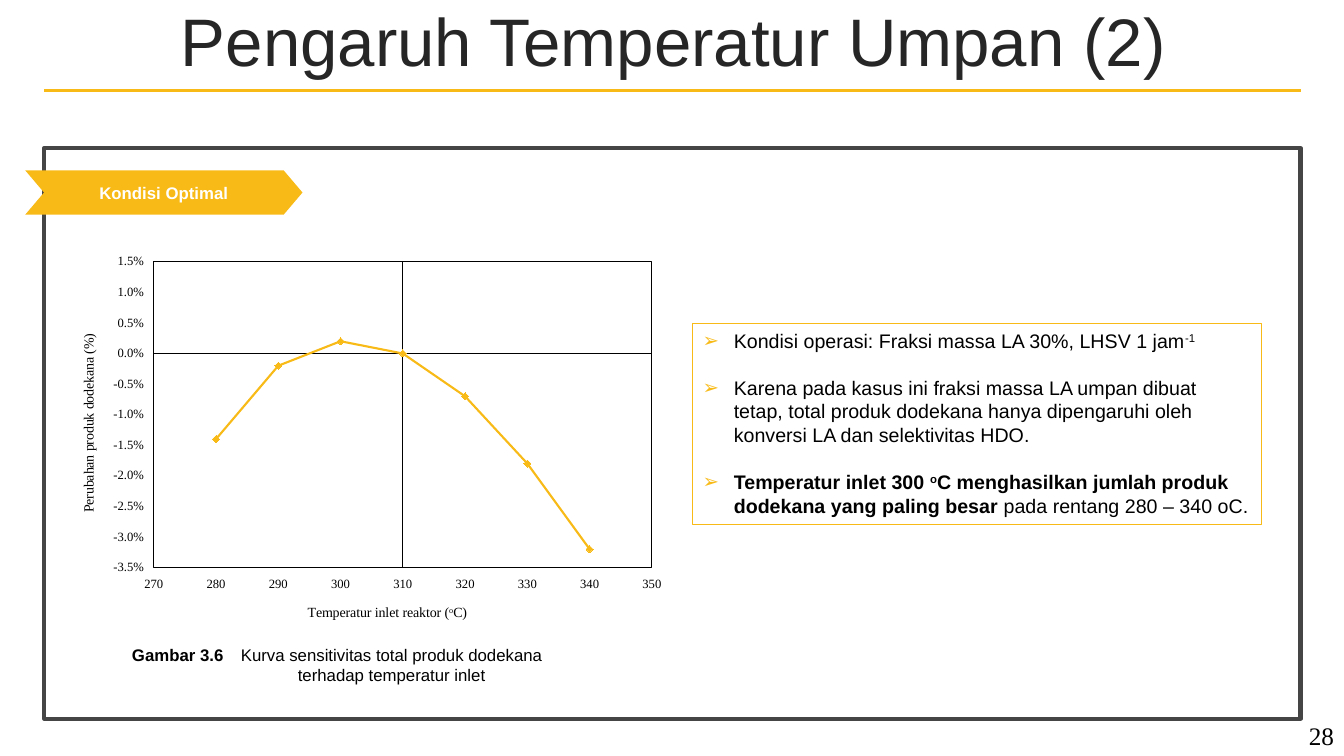
from pptx import Presentation
from pptx.chart.data import XyChartData
from pptx.dml.color import RGBColor
from pptx.enum.chart import XL_CHART_TYPE as ChartType, XL_MARKER_STYLE as Marker
from pptx.enum.chart import XL_TICK_LABEL_POSITION as LabelPosition, XL_TICK_MARK as TickMark
from pptx.enum.shapes import MSO_CONNECTOR as Connector, MSO_SHAPE as Shape
from pptx.enum.text import MSO_ANCHOR as Anchor, PP_ALIGN as Align
from pptx.oxml import parse_xml
from pptx.oxml.ns import nsdecls
from pptx.util import Inches, Pt

GOLD = RGBColor(0xF8, 0xBA, 0x16)
GRAY = RGBColor(0x45, 0x45, 0x45)
DARK = RGBColor(0x26, 0x26, 0x26)
BLACK = RGBColor(0, 0, 0)
WHITE = RGBColor(255, 255, 255)
SANS, SERIF = "Arial", "Times New Roman"

TITLE = [[("Pengaruh Temperatur Umpan (2)", "")]]
LABEL = [[("Kondisi Optimal", "bold")]]
PAGE_NUMBER = [[("28", "")]]
CAPTION = [[("Gambar 3.6\t", "bold"),
            ("Kurva sensitivitas total produk dodekana terhadap temperatur inlet", "")]]
NOTES = [
    [("Kondisi operasi: Fraksi massa LA 30%, LHSV 1 jam", ""), ("-1", "super")],
    [("Karena pada kasus ini fraksi massa LA umpan dibuat tetap, total produk dodekana "
      "hanya dipengaruhi oleh konversi LA dan selektivitas HDO.", "")],
    [("Temperatur inlet 300 ", "bold"), ("o", "bold super"),
     ("C menghasilkan jumlah produk dodekana yang paling besar ", "bold"),
     ("pada rentang 280 – 340 oC.", "")],
]
X_TITLE = [("Temperatur inlet reaktor (", ""), ("o", "super"), ("C)", "")]
Y_TITLE = [("Perubahan produk dodekana (%)", "")]
TEMPERATURES = range(280, 350, 10)
CHANGES = [-0.014, -0.002, 0.002, 0, -0.007, -0.018, -0.032]
PLOT_LAYOUT = {"x": 0.155, "y": 0.04, "w": 0.81, "h": 0.77}

LEFT, RIGHT = 0.44, 12.9

presentation = Presentation()
presentation.slide_width, presentation.slide_height = Inches(13.33), Inches(7.5)
slide = presentation.slides.add_slide(presentation.slide_layouts[6])


def add_runs(paragraph, runs, size, font, color):
    for text, style in runs:
        run = paragraph.add_run()
        run.text = text
        run.font.name, run.font.size = font, Pt(size)
        run.font.bold = "bold" in style
        run.font.color.rgb = color
        if "super" in style:
            run.font._element.set("baseline", "30000")


def write(shape, paragraphs, size=12, font=SANS, color=BLACK, align=Align.LEFT,
          anchor=Anchor.TOP, hanging=0, bullet=None, gap=0, line_spacing=None):
    frame = shape.text_frame
    frame.word_wrap = True
    frame.vertical_anchor = anchor
    for index, runs in enumerate(paragraphs):
        paragraph = frame.add_paragraph() if index else frame.paragraphs[0]
        paragraph.alignment = align
        if line_spacing:
            paragraph.line_spacing = line_spacing
        if index and gap:
            paragraph.space_before = Pt(gap)
        properties = paragraph._p.get_or_add_pPr()
        if hanging:
            properties.set("marL", str(Inches(hanging)))
            properties.set("indent", str(-Inches(hanging)))
        if bullet:
            for xml in (f'<a:buClr {nsdecls("a")}><a:srgbClr val="{GOLD}"/></a:buClr>',
                        f'<a:buFont {nsdecls("a")} typeface="{SANS}"/>',
                        f'<a:buChar {nsdecls("a")} char="{bullet}"/>'):
                properties.append(parse_xml(xml))
        add_runs(paragraph, runs, size, font, color)


def add_text(box, paragraphs, **style):
    write(slide.shapes.add_textbox(*map(Inches, box)), paragraphs, **style)


def add_block(kind, box, fill=None, line=None, width=0):
    shape = slide.shapes.add_shape(kind, *map(Inches, box))
    shape.shadow.inherit = False
    if fill:
        shape.fill.solid()
        shape.fill.fore_color.rgb = fill
    else:
        shape.fill.background()
    if line:
        shape.line.color.rgb, shape.line.width = line, Pt(width)
    else:
        shape.line.fill.background()
    return shape


def format_axis(axis, title, low, high, step, number_format):
    axis.minimum_scale, axis.maximum_scale, axis.major_unit = low, high, step
    axis.has_major_gridlines = False
    axis.major_tick_mark = axis.minor_tick_mark = TickMark.NONE
    axis.tick_label_position = LabelPosition.LOW
    axis.tick_labels.number_format = number_format
    axis.tick_labels.number_format_is_linked = False
    font = axis.tick_labels.font
    font.name, font.size, font.color.rgb = SERIF, Pt(9), BLACK
    axis.format.line.color.rgb, axis.format.line.width = BLACK, Pt(0.75)
    add_runs(axis.axis_title.text_frame.paragraphs[0], title, 10, SERIF, BLACK)


def add_sensitivity_chart(box):
    data = XyChartData()
    series_data = data.add_series("Series 1")
    for temperature, change in zip(TEMPERATURES, CHANGES):
        series_data.add_data_point(temperature, change)
    chart = slide.shapes.add_chart(ChartType.XY_SCATTER_LINES, *map(Inches, box), data).chart
    chart.has_legend = chart.has_title = False
    chart.font.name, chart.font.size, chart.font.color.rgb = SERIF, Pt(10), BLACK
    format_axis(chart.category_axis, X_TITLE, 270, 350, 10, "#,##0")
    format_axis(chart.value_axis, Y_TITLE, -0.035, 0.015, 0.005, "0.0%")
    chart.category_axis.crosses_at = 310
    plot = chart.plots[0]
    plot.vary_by_categories = False
    series = plot.series[0]
    series.smooth = False
    series.format.line.color.rgb, series.format.line.width = GOLD, Pt(1.5)
    marker = series.marker
    marker.style, marker.size = Marker.DIAMOND, 5
    marker.format.fill.solid()
    marker.format.fill.fore_color.rgb = GOLD
    marker.format.line.color.rgb = GOLD
    area = chart._chartSpace.chart.plotArea
    for layout in area.xpath("c:layout"):
        area.remove(layout)
    sizes = "".join(f'<c:{key} val="{value}"/>' for key, value in PLOT_LAYOUT.items())
    area.insert(0, parse_xml(
        f'<c:layout {nsdecls("c")}><c:manualLayout><c:layoutTarget val="inner"/>'
        f'<c:xMode val="edge"/><c:yMode val="edge"/>{sizes}</c:manualLayout></c:layout>'))
    area.append(parse_xml(
        f'<c:spPr {nsdecls("c", "a")}><a:noFill/><a:ln w="{Pt(0.75)}"><a:solidFill>'
        f'<a:srgbClr val="{BLACK}"/></a:solidFill></a:ln></c:spPr>'))


add_text((12.62, 7.1, 0.71, 0.4), PAGE_NUMBER, size=18, font=SERIF, align=Align.RIGHT)
add_text((0.35, 0.05, 12.66, 0.79), TITLE, size=48, color=DARK, align=Align.CENTER,
         anchor=Anchor.MIDDLE, line_spacing=0.9)
add_block(Shape.RECTANGLE, (LEFT, 1.47, RIGHT - LEFT, 5.66), line=GRAY, width=3)
chevron = add_block(Shape.CHEVRON, (0.25, 1.69, 2.75, 0.44), fill=GOLD)
chevron.adjustments[0] = 0.424
write(chevron, LABEL, color=WHITE, align=Align.CENTER, anchor=Anchor.MIDDLE)
add_sensitivity_chart((0.58, 2.44, 6.1, 3.94))
add_text((0.94, 6.35, 4.81, 0.5), CAPTION, align=Align.CENTER, hanging=1.08)
notes_box = add_block(Shape.RECTANGLE, (6.87, 3.21, 5.64, 1.99), line=GOLD, width=0.75)
write(notes_box, NOTES, size=14, hanging=0.31, bullet="➢", gap=17)
rule = slide.shapes.add_connector(Connector.STRAIGHT, Inches(LEFT), Inches(0.9),
                                  Inches(RIGHT), Inches(0.9))
rule.line.color.rgb, rule.line.width = GOLD, Pt(2.25)
rule._element.spPr.append(parse_xml(f'<a:effectLst {nsdecls("a")}/>'))

presentation.save("out.pptx")
